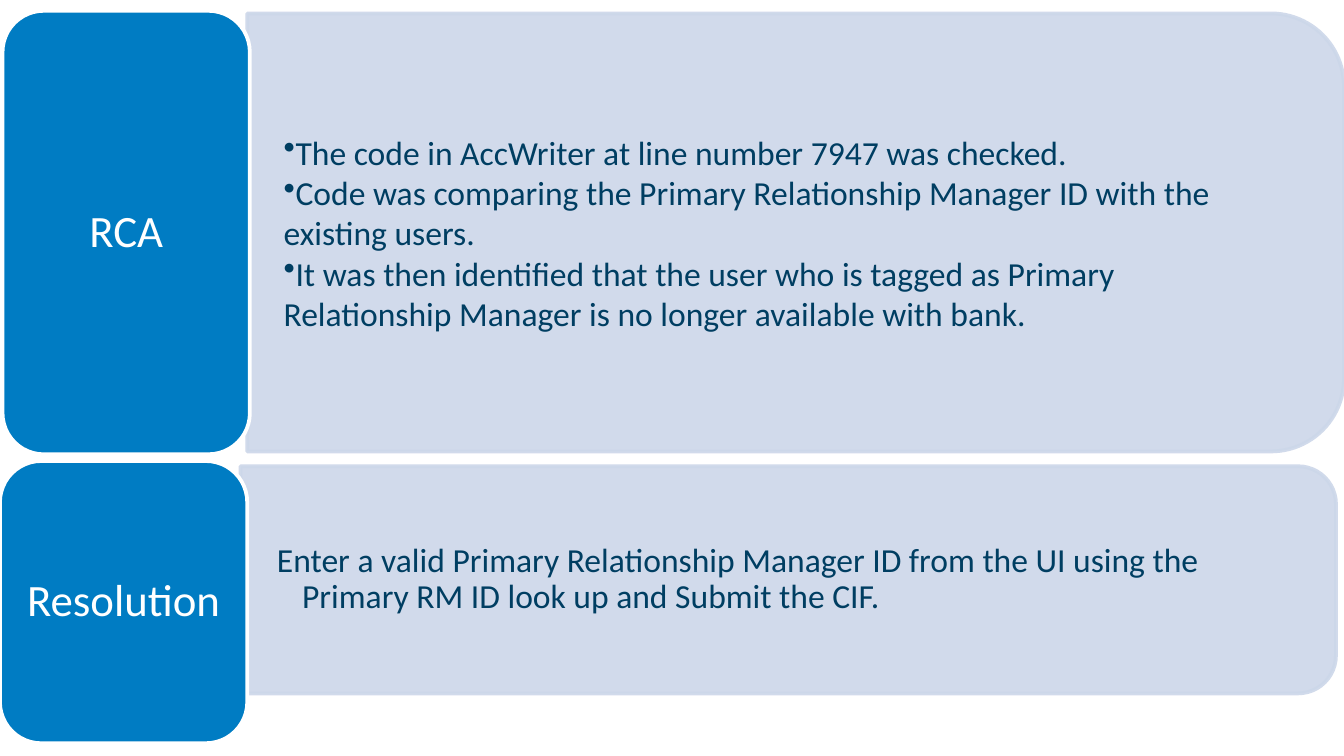
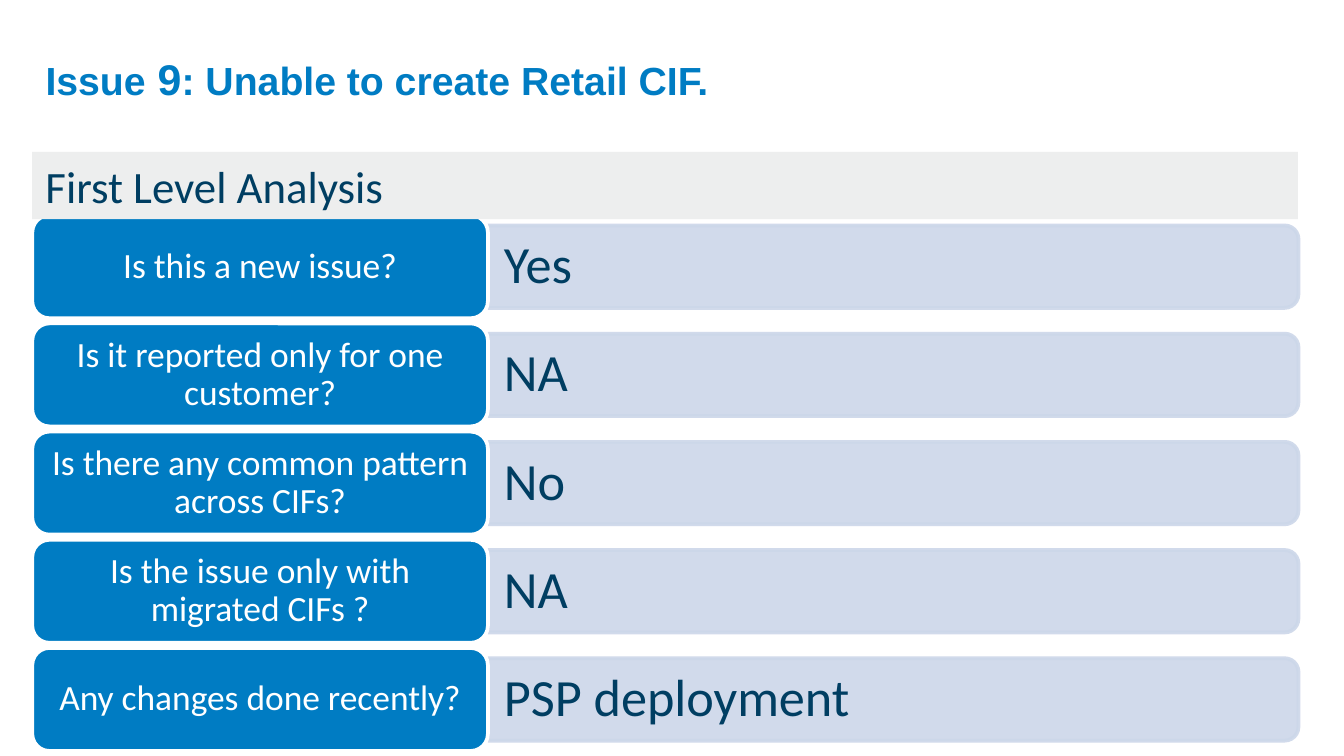
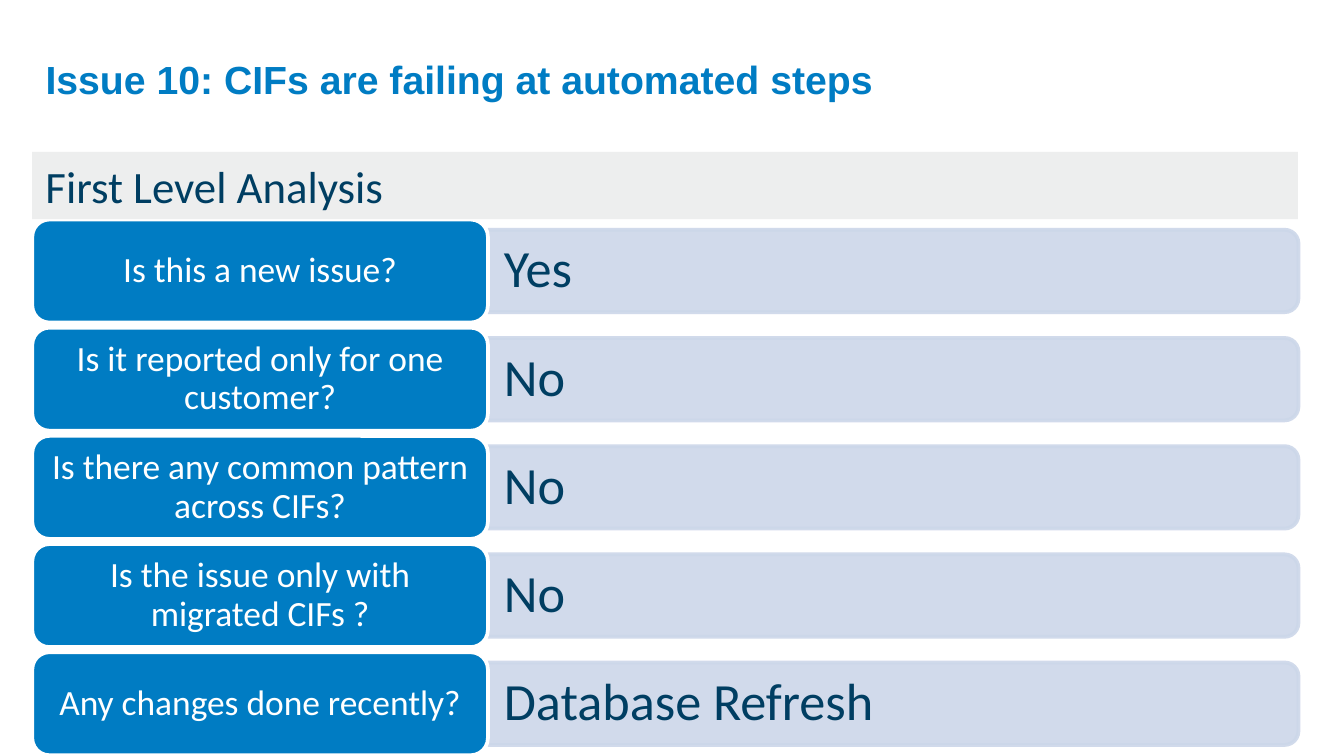
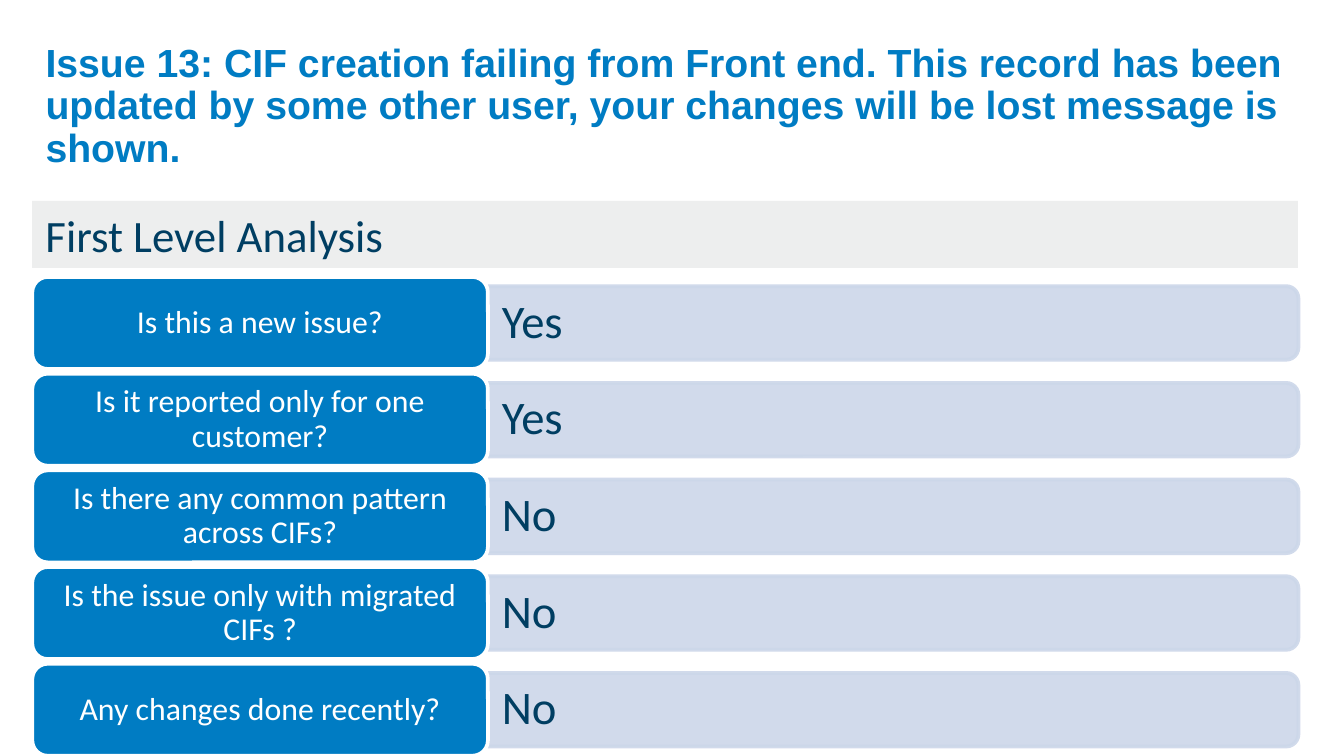
from dataclasses import dataclass

from lxml import etree
from pptx import Presentation
from pptx import util as u
from pptx.dml.color import RGBColor
from pptx.enum import shapes, text
from pptx.oxml import ns

Pt = u.Pt
LEFT, CENTER = text.PP_ALIGN.LEFT, text.PP_ALIGN.CENTER
TOP, MIDDLE = text.MSO_ANCHOR.TOP, text.MSO_ANCHOR.MIDDLE


@dataclass(frozen=True)
class Theme:
    blue: str = "007CC3"
    navy: str = "003E62"
    pale: str = "CCD7E9"
    grey: str = "EDEEEE"
    white: str = "FFFFFF"
    title_font: str = "Arial"
    body_font: str = "Calibri"
    title_size: float = 21
    number_size: float = 23
    heading_size: float = 24
    body_size: float = 18
    line_width: float = 2
    panel_opacity: int = 90


@dataclass(frozen=True)
class Grid:
    """Measures of one question list, in points."""
    top: float
    pitch: float
    question_size: float
    answer_size: float
    question_margins: tuple
    answer_margins: tuple
    hanging: float


EDGE = 17.3
QUESTION_WIDTH = 244.1
ANSWER_WIDTH = 434.2
BAND_WIDTH, BAND_HEIGHT = 678, 36
CORNER = 0.05  # part of a panel's height that its rounded corners take from the text
WIDE_MARGINS = (19.5, 10)

QUESTIONS = [
    "Is this a new issue?",
    "Is it reported only for one customer?",
    "Is there any common pattern across CIFs?",
    "Is the issue only with migrated CIFs ?",
    "Any changes done recently?",
]


def apply(target, values):
    for name, value in values.items():
        setattr(target, name, value)


class Deck:
    def __init__(self, theme):
        self.theme = theme
        self.prs = Presentation()
        apply(self.prs, {"slide_width": Pt(720), "slide_height": Pt(405)})
        self.slide = None

    def new_slide(self):
        self.slide = self.prs.slides.add_slide(self.prs.slide_layouts[6])

    def shape(self, kind, box, fill, line=None, opacity=None):
        shape = self.slide.shapes.add_shape(kind, *map(Pt, box))
        shape.shadow.inherit = False
        shape.fill.solid()
        shape.fill.fore_color.rgb = RGBColor.from_string(fill)
        if line:
            shape.line.color.rgb = RGBColor.from_string(line)
            shape.line.width = Pt(self.theme.line_width)
        else:
            shape.line.fill.background()
        if opacity:
            for colour in shape.element.spPr.iter(ns.qn("a:srgbClr")):
                etree.SubElement(colour, ns.qn("a:alpha"), val=str(opacity * 1000))
        return shape

    def set_text(self, shape, paragraphs, size, color, font=None, bold=False, align=LEFT,
                 anchor=MIDDLE, margins=(7.2, 3.6), spacing=0.9, hanging=0, bullet=None):
        """Fill a shape with paragraphs; each is a string or a list of (text, size) runs."""
        across, down = (Pt(m) for m in margins)
        frame = shape.text_frame
        apply(frame, {"word_wrap": True, "vertical_anchor": anchor,
                      "margin_left": across, "margin_right": across,
                      "margin_top": down, "margin_bottom": down})
        for index, content in enumerate(paragraphs):
            paragraph = frame.add_paragraph() if index else frame.paragraphs[0]
            props = paragraph._p.get_or_add_pPr()
            props.set("marL", str(Pt(hanging)))
            props.set("indent", str(-Pt(hanging)))
            if bullet:
                etree.SubElement(props, ns.qn("a:buChar"), char=bullet)
            apply(paragraph, {"alignment": align, "line_spacing": spacing})
            runs = [(content, size)] if isinstance(content, str) else content
            for words, run_size in runs:
                run = paragraph.add_run()
                run.text = words
                apply(run.font, {"name": font or self.theme.body_font,
                                 "size": Pt(run_size), "bold": bold})
                run.font.color.rgb = RGBColor.from_string(color)

    def text_box(self, box, paragraphs, size, color, **style):
        self.set_text(self.slide.shapes.add_textbox(*map(Pt, box)),
                      paragraphs, size, color, **style)

    def title(self, runs, top, height):
        self.text_box((EDGE, top, 684.7, height), [runs], self.theme.title_size,
                      self.theme.blue, font=self.theme.title_font, bold=True)

    def band(self, words, top):
        band = self.shape(shapes.MSO_SHAPE.RECTANGLE,
                          (EDGE, top, BAND_WIDTH, BAND_HEIGHT), self.theme.grey)
        self.set_text(band, [words], self.theme.heading_size, self.theme.navy,
                      anchor=TOP, spacing=1.0)

    def panel(self, box, paragraphs, size, **style):
        """Pale panel rounded on its right side, with upright text over it."""
        left, top, width, height = box
        turned = (left + (width - height) / 2, top + (height - width) / 2, height, width)
        panel = self.shape(shapes.MSO_SHAPE.ROUND_2_SAME_RECTANGLE, turned, self.theme.pale,
                           self.theme.pale, self.theme.panel_opacity)
        panel.rotation = 90
        inset = CORNER * height
        self.text_box((left, top + inset, width - inset, height - 2 * inset),
                      paragraphs, size, self.theme.navy, **style)

    def label(self, box, words, size, margins=(7.2, 3.6)):
        label = self.shape(shapes.MSO_SHAPE.ROUNDED_RECTANGLE, box,
                           self.theme.blue, self.theme.white)
        self.set_text(label, [words], size, self.theme.white, align=CENTER, margins=margins)

    def question_list(self, grid, answers):
        height = grid.pitch / 1.05
        for row, (question, answer) in enumerate(zip(QUESTIONS, answers)):
            top = grid.top + row * grid.pitch
            self.panel((EDGE + QUESTION_WIDTH, top + height * 0.1, ANSWER_WIDTH, height * 0.8),
                       [answer], grid.answer_size, margins=grid.answer_margins,
                       hanging=grid.hanging)
            self.label((EDGE, top, QUESTION_WIDTH, height), question,
                       grid.question_size, grid.question_margins)

    def analysis_slide(self, title, title_top, band_top, grid, answers):
        self.new_slide()
        self.title(title, title_top, 58)
        self.question_list(grid, answers)
        self.band("First Level Analysis", band_top)

    def cause_slide(self):
        theme = self.theme
        self.new_slide()
        self.panel((132.5, 7.2, 587.5, 234.7), [
            "The code in AccWriter at line number 7947 was checked.",
            "Code was comparing the Primary Relationship Manager ID with the existing users.",
            "It was then identified that the user who is tagged as Primary Relationship "
            "Manager is no longer available with bank.",
        ], theme.body_size, margins=WIDE_MARGINS, spacing=1.0, bullet="•")
        self.label((1.4, 5.8, 132.5, 237.6), "RCA", theme.heading_size)
        self.panel((128.9, 249.8, 586.8, 121.7), [
            "Enter a valid Primary Relationship Manager ID from the UI using the "
            "Primary RM ID look up and Submit the CIF.",
        ], theme.body_size, margins=WIDE_MARGINS, hanging=13.5)
        self.label((0, 247, 132.5, 151.2), "Resolution", theme.heading_size)


def main():
    theme = Theme()
    deck = Deck(theme)
    roomy = dict(pitch=57.96, question_size=19, answer_size=28,
                 question_margins=(5.7, 2.9), answer_margins=(8.6, 4.3), hanging=22.5)
    compact = dict(pitch=51.8, question_size=17, answer_size=25,
                   question_margins=(5.1, 2.6), answer_margins=(7.5, 3.8), hanging=18)

    deck.cause_slide()
    deck.analysis_slide(
        [("Issue", theme.title_size), (" 9", theme.number_size),
         (": Unable to create Retail CIF.", theme.title_size)],
        14.8, 81.4, Grid(top=115.3, **roomy), ["Yes", "NA", "No", "NA", "PSP deployment"])
    deck.analysis_slide(
        "Issue 10: CIFs are failing at automated steps",
        14.8, 81.4, Grid(top=117.6, **roomy), ["Yes", "No", "No", "No", "Database Refresh"])
    deck.analysis_slide(
        "Issue 13: CIF creation failing from Front end. This record has been updated by "
        "some other user, your changes will be lost message is shown.",
        28.5, 107.6, Grid(top=148.4, **compact), ["Yes", "Yes", "No", "No", "No"])
    deck.prs.save("out.pptx")


if __name__ == "__main__":
    main()
